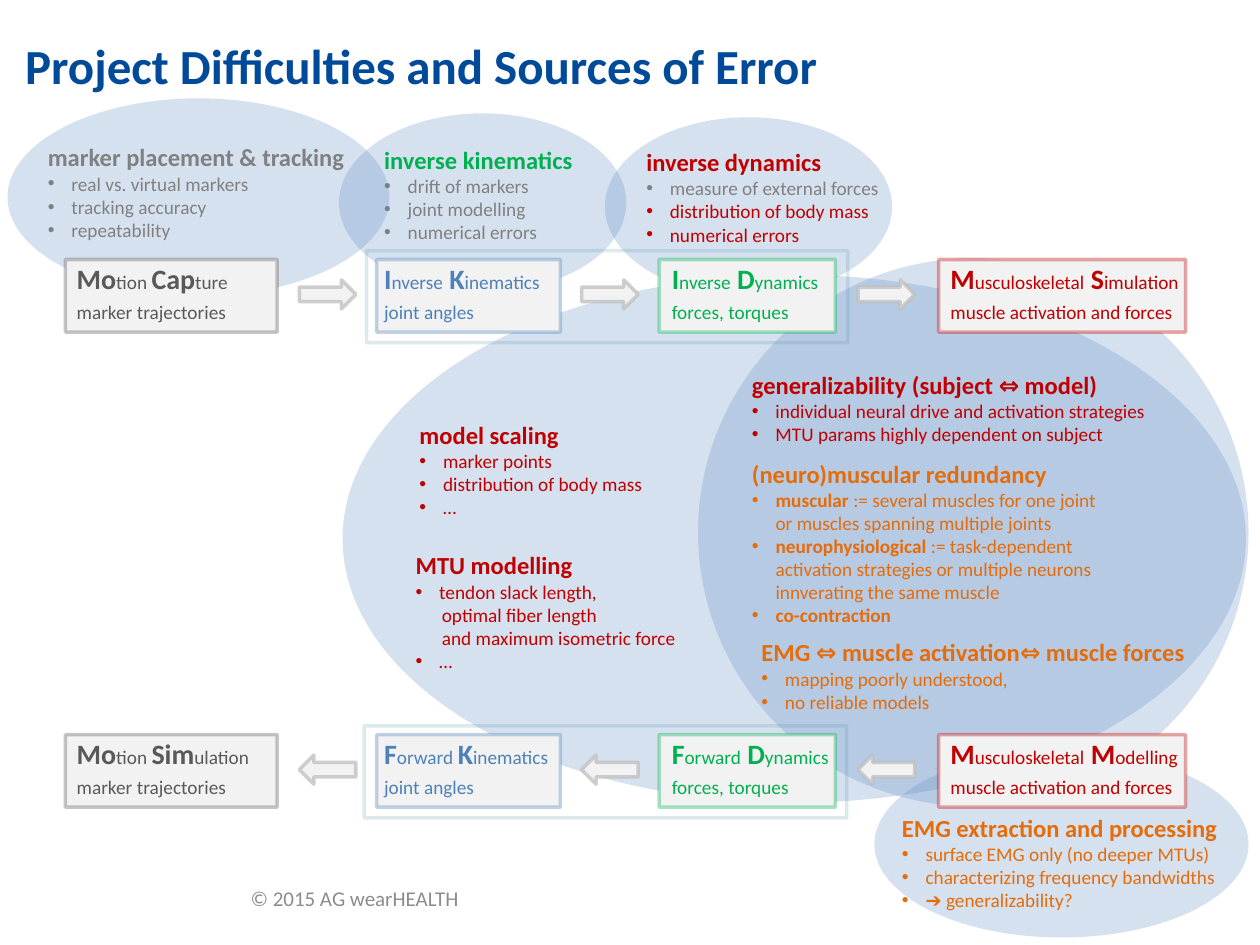
from lxml import etree
from pptx import Presentation
from pptx import util as u
from pptx.dml.color import RGBColor
from pptx.enum import shapes, text
from pptx.oxml import ns

BLUE, GRAY, RED, GREEN, ORANGE = "4F81BD", "808080", "C00000", "00B050", "E46C0A"
LABEL_BLUE, DARK, TEAL, PALE, SILVER = "4D81B8", "595959", "31859C", "F2F2F2", "BFBFBF"
BULLET_INDENT, CONTINUATION_INDENT = 13.5, 15
ROW_TOPS = (148.3, 419.8)

FRAMES = [(209.5, 275), (208.1, 275.8)]

STAGES = [
    (37.4, 121, 36.7, DARK, DARK, "marker trajectories",
     ("Mo|tion |Cap|ture", "Mo|tion |Sim|ulation")),
    (215.3, 105, 212.4, BLUE, LABEL_BLUE, "joint angles",
     ("I|nverse| K|inematics", "F|orward |K|inematics")),
    (376.6, 100.8, 376.8, GREEN, GREEN, "forces, torques",
     ("I|nverse| D|ynamics", "F|orward| D|ynamics")),
    (536.4, 141.1, 536, RED, RED, "muscle activation and forces",
     ("M|usculoskeletal| S|imulation", "M|usculoskeletal| M|odelling")),
]
ARROW_LEFTS = (171, 332.3, 490.3)

CLOUDS = [
    ((195.8, 157, 516.2, 301.7), [
        ((232.6, 236.2, 300, 77.8), "model scaling", RED,
         [("marker points", RED), ("distribution of body mass", RED), ("…", RED)]),
        ((230.4, 311, 300, 77.8), "MTU modelling", RED,
         [("tendon slack length,", RED), (">optimal fiber length", RED),
          (">and maximum isometric force", RED), ("…", RED)]),
    ]),
    ((499.7, 429.1, 213.8, 106.6), [
        ((508.3, 460.8, 239.8, 64), "EMG extraction and processing", ORANGE,
         [("surface EMG only (no deeper MTUs)", ORANGE),
          ("characterizing frequency bandwidths", ORANGE),
          ("➔ generalizability?", ORANGE)]),
    ]),
    ((398.9, 147.6, 314.6, 313.2), [
        ((422.6, 207.6, 292.3, 51), "generalizability (subject ⇔ model)", RED,
         [("individual neural drive and activation strategies", RED),
          ("MTU params highly dependent on subject", RED)]),
        ((422.6, 258.5, 214.6, 121), "(neuro)muscular redundancy", ORANGE,
         [("*muscular* := several muscles for one joint or muscles spanning multiple joints", ORANGE),
          ("*neurophysiological* := task-dependent activation strategies or multiple neurons "
           "innverating the same muscle", ORANGE),
          ("*co-contraction*", ORANGE)]),
        ((428, 360.7, 293, 64), "EMG ⇔ muscle activation⇔ muscle forces", ORANGE,
         [("mapping poorly understood,", ORANGE), ("no reliable models", ORANGE)]),
    ]),
    ((345.6, 67, 164.2, 102.2), [
        ((362.2, 80.6, 164.2, 64), "inverse dynamics", RED,
         [("measure of external forces", GRAY), ("distribution of body mass", RED),
          ("numerical errors", RED)]),
    ]),
    ((193.7, 64.8, 164.2, 102.2), [
        ((212.4, 79.2, 126, 64), "inverse kinematics", GREEN,
         [("drift of markers", GRAY), ("joint modelling", GRAY), ("numerical errors", GRAY)]),
    ]),
    ((4.3, 56.2, 218.2, 113), [
        ((20.2, 77.8, 210.2, 77.8), "marker placement & tracking", GRAY,
         [("real vs. virtual markers", GRAY), ("tracking accuracy", GRAY), ("repeatability", GRAY)]),
    ]),
]


def color(hex_value):
    return RGBColor.from_string(hex_value)


def points(box):
    return [u.Pt(length) for length in box]


def set_alpha(fill_parent, percent):
    hue = fill_parent.find(".//" + ns.qn("a:srgbClr"))
    etree.SubElement(hue, ns.qn("a:alpha"), val=str(percent * 1000))


def add_outline(slide, kind, box, fill, line=None, line_alpha=100, fill_alpha=100):
    outline = slide.shapes.add_shape(kind, *points(box))
    outline.shadow.inherit = False
    outline.fill.solid()
    outline.fill.fore_color.rgb = color(fill)
    if fill_alpha < 100:
        set_alpha(outline.fill._xPr.find(ns.qn("a:solidFill")), fill_alpha)
    if line:
        outline.line.width = u.Pt(2)
        outline.line.color.rgb = color(line)
        set_alpha(outline.line._ln, line_alpha)
    else:
        outline.line.fill.background()
    return outline


def add_text_frame(slide, box, anchor=text.MSO_ANCHOR.TOP):
    frame = slide.shapes.add_textbox(*points(box)).text_frame
    frame.word_wrap = True
    frame.vertical_anchor = anchor
    return frame


def add_run(paragraph, words, size, hue, bold=False):
    run = paragraph.add_run()
    run.text = words
    run.font.name = "Calibri"
    run.font.size = u.Pt(size)
    run.font.bold = bold
    run.font.color.rgb = color(hue)


def indent(paragraph, bulleted):
    properties = paragraph._p.get_or_add_pPr()
    left = BULLET_INDENT if bulleted else CONTINUATION_INDENT
    properties.set("marL", str(u.Pt(left)))
    properties.set("indent", str(u.Pt(-left if bulleted else 0)))
    if bulleted:
        etree.SubElement(properties, ns.qn("a:buFont"), typeface="Arial")
        etree.SubElement(properties, ns.qn("a:buChar"), char="•")


def add_difficulty(slide, box, heading, hue, items):
    frame = add_text_frame(slide, box)
    add_run(frame.paragraphs[0], heading, 14, hue, True)
    for item, item_hue in items:
        paragraph = frame.add_paragraph()
        indent(paragraph, not item.startswith(">"))
        for index, part in enumerate(item.lstrip(">").split("*")):
            if part:
                add_run(paragraph, part, 11, item_hue, index % 2 == 1)


def add_stage(slide, row, stage):
    left, width, text_left, border, hue, caption, names = stage
    top = ROW_TOPS[row]
    add_outline(slide, shapes.MSO_SHAPE.RECTANGLE, (left, top, width, 41.5), PALE, border, 35)
    name = add_text_frame(slide, (text_left, top - 2.2, width + 16, 26.6)).paragraphs[0]
    for index, part in enumerate(names[row].split("|")):
        initial = index % 2 == 0
        add_run(name, part, 16 if initial else 11, hue, initial)
    output = add_text_frame(slide, (text_left, top + 19.5, width + 8, 20.6)).paragraphs[0]
    add_run(output, caption, 11, hue)


def add_flow_arrow(slide, row, left):
    box = (left, ROW_TOPS[row] + 11.7, 32.4, 16.6)
    arrow = add_outline(slide, shapes.MSO_SHAPE.RIGHT_ARROW, box, PALE, SILVER, 75)
    arrow.rotation = 180 * row


def main():
    deck = Presentation()
    deck.slide_width, deck.slide_height = u.Pt(720), u.Pt(540)
    slide = deck.slides.add_slide(deck.slide_layouts[6])

    footer = add_text_frame(slide, (136.1, 499, 138.2, 28.8), text.MSO_ANCHOR.MIDDLE)
    add_run(footer.paragraphs[0], "© 2015 AG wearHEALTH", 12, "8C8C8C")

    for top, (left, width) in zip(ROW_TOPS, FRAMES):
        add_outline(slide, shapes.MSO_SHAPE.RECTANGLE, (left, top - 5, width, 52.6), "FFFFFF", TEAL, 16)

    for ellipse, difficulties in CLOUDS:
        add_outline(slide, shapes.MSO_SHAPE.OVAL, ellipse, BLUE, fill_alpha=23)
        for difficulty in difficulties:
            add_difficulty(slide, *difficulty)

    title = add_text_frame(slide, (0, 0, 588.2, 68.4))
    title.margin_left = title.margin_right = u.Pt(14.4)
    title.paragraphs[0].line_spacing = 1.5
    add_run(title.paragraphs[0], "Project Difficulties and Sources of Error", 28, "004A99", True)

    for row in range(len(ROW_TOPS)):
        for stage in STAGES:
            add_stage(slide, row, stage)
        for left in ARROW_LEFTS:
            add_flow_arrow(slide, row, left)

    deck.save("out.pptx")


if __name__ == "__main__":
    main()
